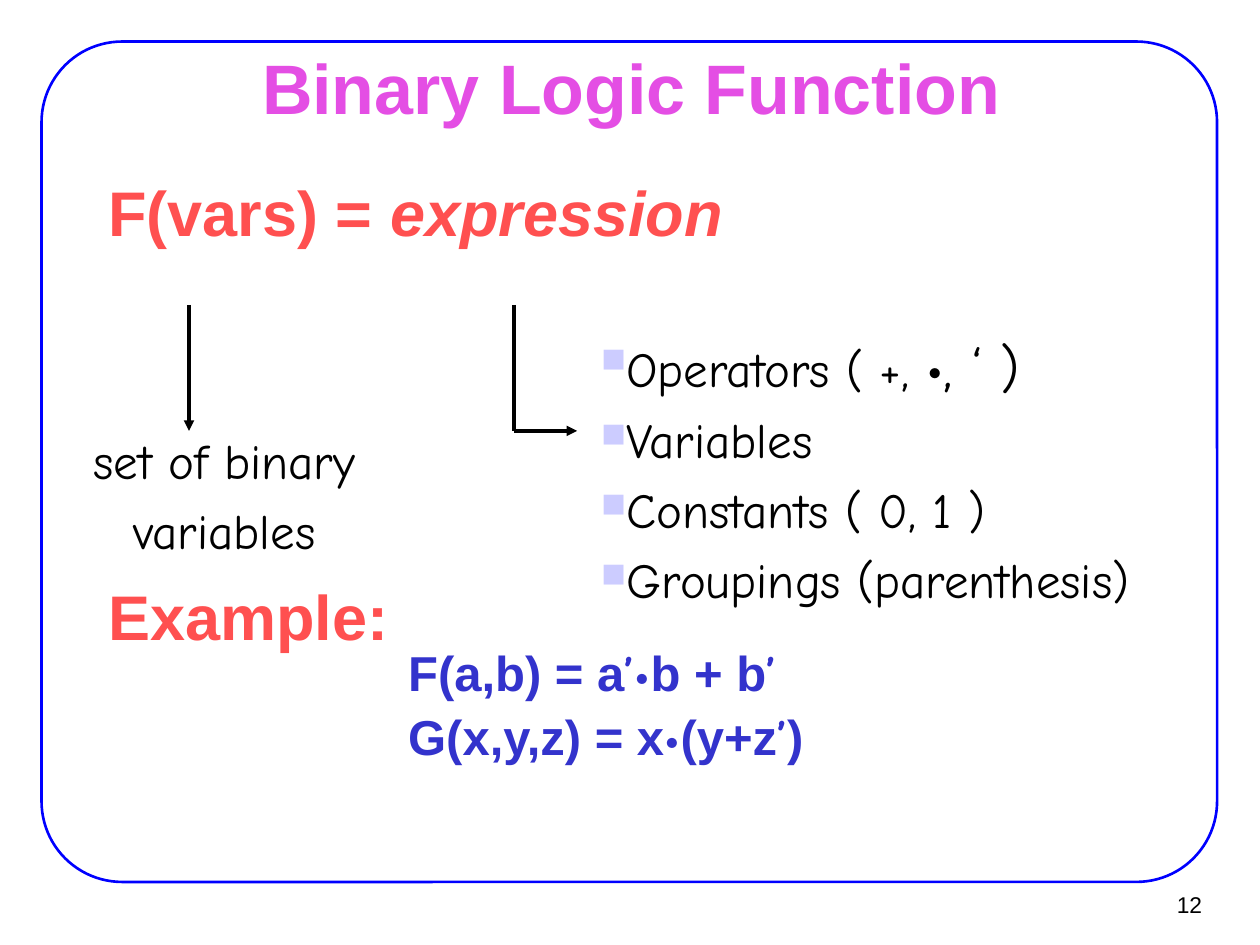
from dataclasses import dataclass

import pptx
import pptx.dml.color
import pptx.enum.shapes
import pptx.enum.text
import pptx.oxml
import pptx.oxml.ns
import pptx.util
from pptx.util import Inches

ALIGN = pptx.enum.text.PP_ALIGN
ANCHOR = pptx.enum.text.MSO_ANCHOR


@dataclass(frozen=True)
class Theme:
    sans: str = "Arial"
    hand: str = "Comic Neue"
    ink: str = "000000"
    frame: str = "0000FF"
    title: str = "E44EE4"
    heading: str = "FF5050"
    formula: str = "3333CC"
    bullet: str = "CCCCFF"
    title_size: int = 40
    heading_size: int = 36
    symbol_size: int = 32
    text_size: int = 28
    number_size: int = 13


def rgb(value):
    return pptx.dml.color.RGBColor.from_string(value)


def run(text, **style):
    """Pair text with its format: font, size, color, bold, italic."""
    return text, style


def add_xml(parent, tag, **attributes):
    element = pptx.oxml.ns.qn(tag)
    child = parent.makeelement(element, attributes)
    parent.append(child)
    return child


class SlideBuilder:
    def __init__(self, slide, theme):
        self.shapes = slide.shapes
        self.theme = theme

    def frame(self, left, top, width, height):
        border = self.shapes.add_shape(
            pptx.enum.shapes.MSO_SHAPE.ROUNDED_RECTANGLE,
            Inches(left), Inches(top), Inches(width), Inches(height))
        border.adjustments[0] = 0.096
        border.shadow.inherit = False
        border.fill.background()
        border.line.color.rgb = rgb(self.theme.frame)
        border.line.width = pptx.util.Pt(1.5)

    def text(self, box, lines, align=ALIGN.LEFT, anchor=ANCHOR.TOP, inset=(0.11, 0.06),
             wrap=True, before=0, spacing=1.0, bullet=False):
        """Place lines, each a list of runs, in box (left, top, width, height)."""
        frame = self.shapes.add_textbox(*map(Inches, box)).text_frame
        frame.word_wrap = wrap
        frame.vertical_anchor = anchor
        frame.margin_left = frame.margin_right = Inches(inset[0])
        frame.margin_top = frame.margin_bottom = Inches(inset[1])
        for index, line in enumerate(lines):
            paragraph = frame.paragraphs[0] if index == 0 else frame.add_paragraph()
            paragraph.alignment = align
            paragraph.line_spacing = spacing
            paragraph.space_before = pptx.util.Pt(before)
            if bullet:
                self.bullet(paragraph)
            for words, style in line:
                self.format(paragraph.add_run(), words, **style)

    def format(self, part, words, font=None, size=None, color=None, bold=False, italic=False):
        part.text = words
        part.font.name = font or self.theme.sans
        part.font.size = pptx.util.Pt(size or self.theme.text_size)
        part.font.color.rgb = rgb(color or self.theme.ink)
        part.font.bold = bold
        part.font.italic = italic

    def bullet(self, paragraph):
        properties = paragraph._p.get_or_add_pPr()
        color = add_xml(properties, "a:buClr")
        add_xml(color, "a:srgbClr", val=self.theme.bullet)
        add_xml(properties, "a:buSzPct", val="70000")
        add_xml(properties, "a:buChar", char="■")

    def line(self, start, end, arrow=False):
        connector = self.shapes.add_connector(
            pptx.enum.shapes.MSO_CONNECTOR.STRAIGHT, *map(Inches, start + end))
        connector.line.color.rgb = rgb(self.theme.ink)
        connector.line.width = pptx.util.Pt(2)
        if arrow:
            add_xml(connector.line._get_or_add_ln(), "a:tailEnd", type="triangle")
        add_xml(connector._element.spPr, "a:effectLst")


def main():
    deck = pptx.Presentation()
    deck.slide_width, deck.slide_height = Inches(10), Inches(7.5)
    theme = Theme()
    builder = SlideBuilder(deck.slides.add_slide(deck.slide_layouts[6]), theme)

    heading = dict(size=theme.heading_size, color=theme.heading, bold=True)
    formula = dict(color=theme.formula, bold=True)
    formula_symbol = dict(formula, font=theme.hand)
    hand = dict(font=theme.hand)

    builder.frame(0.33, 0.33, 9.33, 6.67)
    builder.text((9.02, 6.99, 0.61, 0.37), [[run("12", size=theme.number_size)]],
                 align=ALIGN.RIGHT, anchor=ANCHOR.MIDDLE, inset=(0.09, 0.04))
    builder.text((0.76, 0.44, 8.5, 0.49),
                 [[run("Binary Logic Function", size=theme.title_size,
                       color=theme.title, bold=True)]],
                 align=ALIGN.CENTER, anchor=ANCHOR.MIDDLE)

    builder.text((0.75, 1.32, 8.5, 0.7),
                 [[run("F(vars) = ", **heading), run("expression", italic=True, **heading)]])
    builder.text((0.75, 4.52, 3, 0.7), [[run("Example:", **heading)]])
    builder.text((3.13, 5.09, 6.12, 1.2), [
        [run("F(a,b) = a", **formula), run("’•", **formula_symbol),
         run("b + b", **formula), run("’", **formula_symbol)],
        [run("G(x,y,z) = x", **formula), run("•", **formula_symbol),
         run("(y+z", **formula), run("’", **formula_symbol), run(")", **formula)],
    ], before=6.4, spacing=0.9)

    arrow_top, arrow_bottom = 2.42, 3.42
    vars_x, expression_x = 1.5, 4.08
    builder.line((vars_x, arrow_top), (vars_x, arrow_bottom), arrow=True)
    builder.line((expression_x, arrow_top), (expression_x, arrow_bottom))
    builder.line((expression_x, arrow_bottom), (expression_x + 0.5, arrow_bottom), arrow=True)

    builder.text((0.5, 3.37, 2.56, 1.13),
                 [[run(words, **hand)] for words in ("set of binary", "variables")],
                 align=ALIGN.CENTER, inset=(0.1, 0.05), wrap=False, before=6.4)
    ingredients = [[run("Operators ( +, ", **hand),
                    run("•, ‘ )", size=theme.symbol_size, **hand)]]
    ingredients += [[run(words, **hand)] for words in
                    ("Variables", "Constants ( 0, 1 )", "Groupings (parenthesis)")]
    builder.text((4.67, 2.58, 5.14, 2.88), ingredients,
                 inset=(0.1, 0.05), before=6.4, bullet=True)

    deck.save("out.pptx")


if __name__ == "__main__":
    main()
